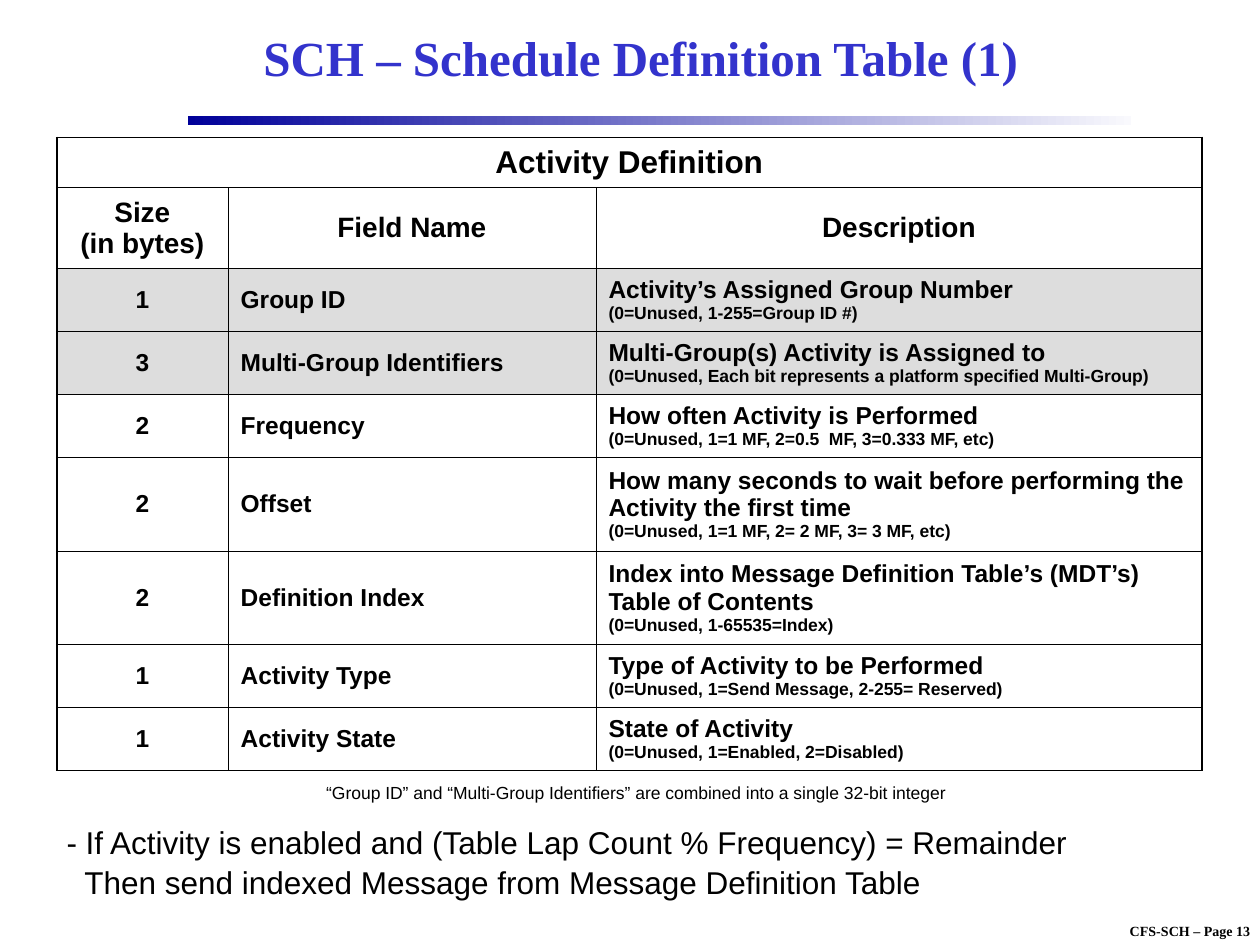
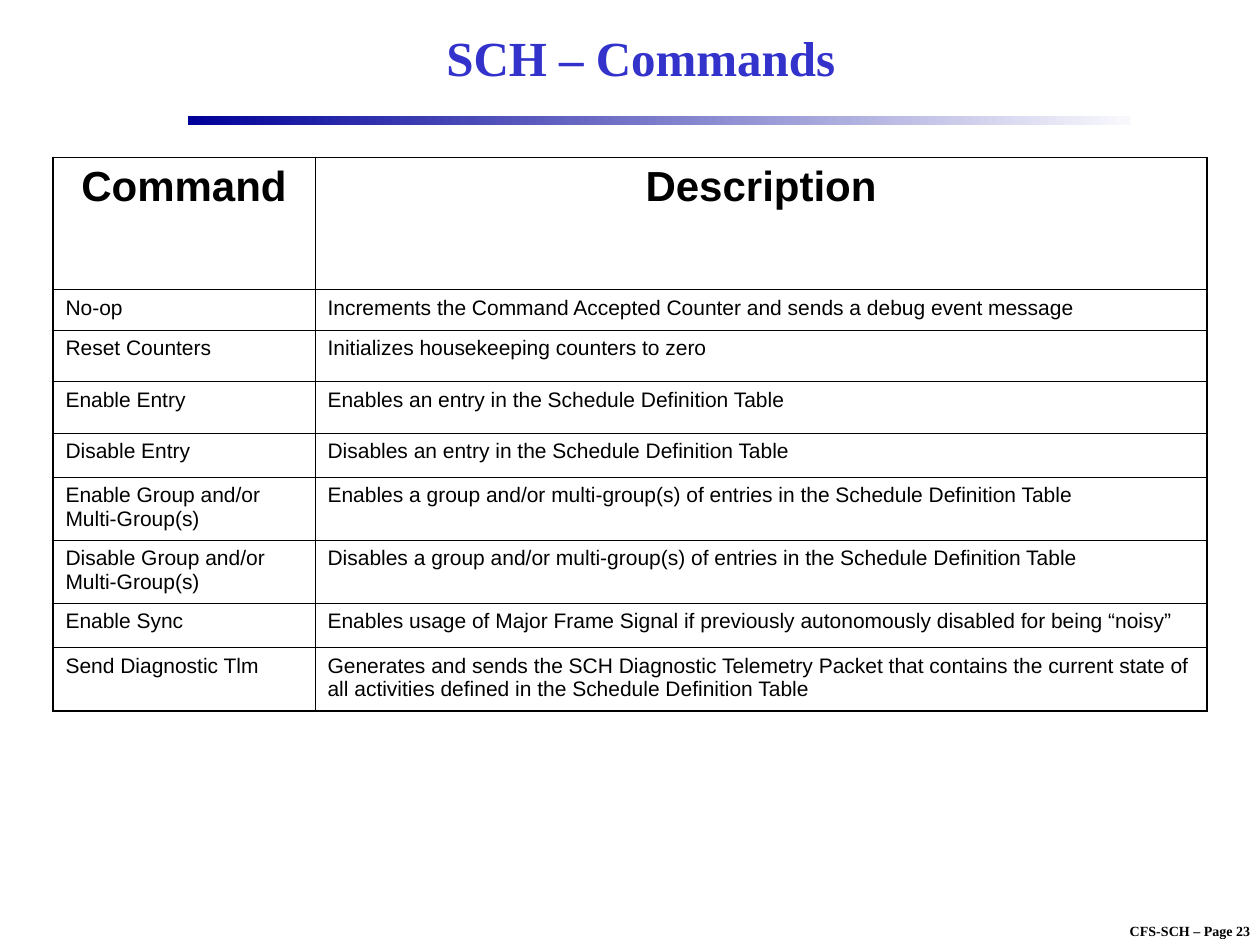
from lxml import etree
from pptx import Presentation
from pptx.dml.color import RGBColor
from pptx.enum.shapes import MSO_SHAPE
from pptx.enum.text import MSO_ANCHOR, PP_ALIGN
from pptx.oxml.ns import qn
from pptx.util import Inches, Pt

LEFT, CENTER = PP_ALIGN.LEFT, PP_ALIGN.CENTER
TOP, MIDDLE = MSO_ANCHOR.TOP, MSO_ANCHOR.MIDDLE
RECTANGLE = MSO_SHAPE.RECTANGLE

COLORS = {
    "title": "3333CC",
    "text": "000000",
    "border": "000000",
    "shaded row": "DDDDDD",
    "band start": "000099",
    "band end": "F9F9FD",
}
SANS, SERIF = "Arial", "Times New Roman"
OUTER_BORDER, INNER_BORDER = Pt(1.08), Pt(0.45)

TITLE = {"name": SERIF, "size": Pt(28), "bold": True}
FOOTER = {"name": SERIF, "size": Pt(8), "bold": True}
TABLE_TITLE = {"name": SANS, "size": Pt(18), "bold": True}
FIELD_HEADER = {"name": SANS, "size": Pt(16), "bold": True}
FIELD = {"name": SANS, "size": Pt(14), "bold": True}
FIELD_NOTE = {"name": SANS, "size": Pt(10), "bold": True}
COMMAND_HEADER = {"name": SANS, "size": Pt(24), "bold": True}
COMMAND = {"name": SANS, "size": Pt(12), "bold": False}
CAPTION = {"name": SANS, "size": Pt(10), "bold": False}
RULE = {"name": SANS, "size": Pt(18), "bold": False}

PAGES = [("SCH – Schedule Definition Table (1)", 13), ("SCH – Commands", 23)]

FIELDS = [
    ("1", "Group ID", ["Activity’s Assigned Group Number"],
     "(0=Unused, 1-255=Group ID #)"),
    ("3", "Multi-Group Identifiers", ["Multi-Group(s) Activity is Assigned to"],
     "(0=Unused, Each bit represents a platform specified Multi-Group)"),
    ("2", "Frequency", ["How often Activity is Performed"],
     "(0=Unused, 1=1 MF, 2=0.5  MF, 3=0.333 MF, etc)"),
    ("2", "Offset",
     ["How many seconds to wait before performing the Activity the first time"],
     "(0=Unused, 1=1 MF, 2= 2 MF, 3= 3 MF, etc)"),
    ("2", "Definition Index",
     ["Index into Message Definition Table’s (MDT’s)", "Table of Contents"],
     "(0=Unused, 1-65535=Index)"),
    ("1", "Activity Type", ["Type of Activity to be Performed"],
     "(0=Unused, 1=Send Message, 2-255= Reserved)"),
    ("1", "Activity State", ["State of Activity"],
     "(0=Unused, 1=Enabled, 2=Disabled)"),
]
SHADED_FIELDS = ("Group ID", "Multi-Group Identifiers")

COMMANDS = [
    ("No-op",
     "Increments the Command Accepted Counter and sends a debug event message"),
    ("Reset Counters", "Initializes housekeeping counters to zero"),
    ("Enable Entry", "Enables an entry in the Schedule Definition Table"),
    ("Disable Entry", "Disables an entry in the Schedule Definition Table"),
    ("Enable Group and/or Multi-Group(s)",
     "Enables a group and/or multi-group(s) of entries in the Schedule Definition Table"),
    ("Disable Group and/or Multi-Group(s)",
     "Disables a group and/or multi-group(s) of entries in the Schedule Definition Table"),
    ("Enable Sync",
     "Enables usage of Major Frame Signal if previously autonomously disabled "
     "for being “noisy”"),
    ("Send Diagnostic Tlm",
     "Generates and sends the SCH Diagnostic Telemetry Packet that contains the "
     "current state of all activities defined in the Schedule Definition Table"),
]


def write_lines(text_frame, lines, alignment=LEFT, color="text"):
    """Write one paragraph for each (text, font format) pair."""
    for index, (text, font_format) in enumerate(lines):
        paragraph = text_frame.add_paragraph() if index else text_frame.paragraphs[0]
        paragraph.alignment = alignment
        run = paragraph.add_run()
        run.text = text
        run.font.color.rgb = RGBColor.from_string(COLORS[color])
        for attribute, value in font_format.items():
            setattr(run.font, attribute, value)


def add_ruled_table(slide, left, top, widths, heights):
    """Add an unfilled table with a heavy frame, thin inner lines."""
    table = slide.shapes.add_table(
        len(heights), len(widths), Inches(left), Inches(top),
        Inches(sum(widths)), Inches(sum(heights))).table
    table.first_row = table.horz_banding = False
    for column, width in zip(table.columns, widths):
        column.width = Inches(width)
    for row, height in zip(table.rows, heights):
        row.height = Inches(height)
    for row in range(len(heights)):
        for column in range(len(widths)):
            cell = table.cell(row, column)
            cell.margin_left = cell.margin_right = Inches(0.1)
            cell.margin_top = cell.margin_bottom = Inches(0.05)
            cell.fill.background()
            on_frame = {"lnL": column == 0, "lnR": column == len(widths) - 1,
                        "lnT": row == 0, "lnB": row == len(heights) - 1}
            properties = cell._tc.get_or_add_tcPr()
            for position, (side, is_outer) in enumerate(on_frame.items()):
                line = etree.Element(qn(f"a:{side}"))
                line.set("w", str(int(OUTER_BORDER if is_outer else INNER_BORDER)))
                fill = etree.SubElement(line, qn("a:solidFill"))
                etree.SubElement(fill, qn("a:srgbClr")).set("val", COLORS["border"])
                properties.insert(position, line)
    return table


presentation = Presentation()
presentation.slide_width, presentation.slide_height = Inches(10), Inches(7.5)
title_only = presentation.slide_layouts[5]

# Title, gradient band and page footer
for title_text, page_number in PAGES:
    slide = presentation.slides.add_slide(title_only)

    title = slide.shapes.title
    title.left, title.top = Inches(1.5), Inches(0.08)
    title.width, title.height = Inches(7.17), Inches(0.75)
    title.text_frame.vertical_anchor = MIDDLE
    write_lines(title.text_frame, [(title_text, TITLE)], CENTER, "title")

    band = slide.shapes.add_shape(
        RECTANGLE, Inches(1.49), Inches(0.92), Inches(7.49), Inches(0.07))
    band.shadow.inherit = False
    band.line.fill.background()
    band.fill.gradient()
    band.fill.gradient_angle = 0
    for stop, name in zip(band.fill.gradient_stops, ("band start", "band end")):
        stop.color.rgb = RGBColor.from_string(COLORS[name])

    footer = slide.shapes.add_textbox(
        Inches(8.67), Inches(7.27), Inches(1.55), Inches(0.23))
    footer.text_frame.word_wrap = False
    write_lines(footer.text_frame, [(f"CFS-SCH – Page {page_number}", FOOTER)], CENTER)

schedule_slide, commands_slide = presentation.slides

# Activity definition table
activity_table = add_ruled_table(
    schedule_slide, 0.45, 1.09, [1.36, 2.92, 4.81],
    [0.4, 0.64, 0.5, 0.5, 0.5, 0.74, 0.74, 0.5, 0.5])
heading = activity_table.cell(0, 0)
heading.merge(activity_table.cell(0, 2))
heading._tc.tcPr.find(qn("a:lnR")).set("w", str(int(OUTER_BORDER)))
heading.vertical_anchor = MIDDLE
write_lines(heading.text_frame, [("Activity Definition", TABLE_TITLE)], CENTER)

activity_rows = [[[(line, FIELD_HEADER) for line in lines] for lines in
                  (["Size", "(in bytes)"], ["Field Name"], ["Description"])]]
for size, name, description, note in FIELDS:
    activity_rows.append([
        [(size, FIELD)], [(name, FIELD)],
        [(line, FIELD) for line in description] + [(note, FIELD_NOTE)]])

for row, cells in enumerate(activity_rows, start=1):
    for column, lines in enumerate(cells):
        cell = activity_table.cell(row, column)
        cell.vertical_anchor = MIDDLE
        write_lines(cell.text_frame, lines, CENTER if row == 1 or column == 0 else LEFT)
        if cells[1][0][0] in SHADED_FIELDS:
            cell.fill.solid()
            cell.fill.fore_color.rgb = RGBColor.from_string(COLORS["shaded row"])

# Remarks below the activity table: left, top, width, height, indent
REMARKS = [
    (2.49, 6.16, 5.11, 0.27, 0, CAPTION,
     "“Group ID” and “Multi-Group Identifiers” are combined into a single 32-bit integer"),
    (0.43, 6.48, 9.14, 0.4, 0, RULE,
     "- If Activity is enabled and (Table Lap Count % Frequency) = Remainder"),
    (0.43, 6.8, 9.14, 0.4, 0.14, RULE,
     "Then send indexed Message from Message Definition Table"),
]
for left, top, width, height, indent, font_format, text in REMARKS:
    remark = schedule_slide.shapes.add_textbox(
        Inches(left), Inches(top), Inches(width), Inches(height))
    remark.text_frame.word_wrap = True
    remark.text_frame.margin_left = Inches(0.1 + indent)
    write_lines(remark.text_frame, [(text, font_format)])

# Command table
command_table = add_ruled_table(
    commands_slide, 0.42, 1.25, [2.08, 7.08],
    [1.05, 0.32, 0.41, 0.41, 0.35, 0.5, 0.5, 0.35, 0.5])
for row, texts in enumerate([("Command", "Description")] + COMMANDS):
    for column, text in enumerate(texts):
        cell = command_table.cell(row, column)
        cell.vertical_anchor = TOP
        write_lines(cell.text_frame, [(text, COMMAND if row else COMMAND_HEADER)],
                    LEFT if row else CENTER)

presentation.save("out.pptx")
